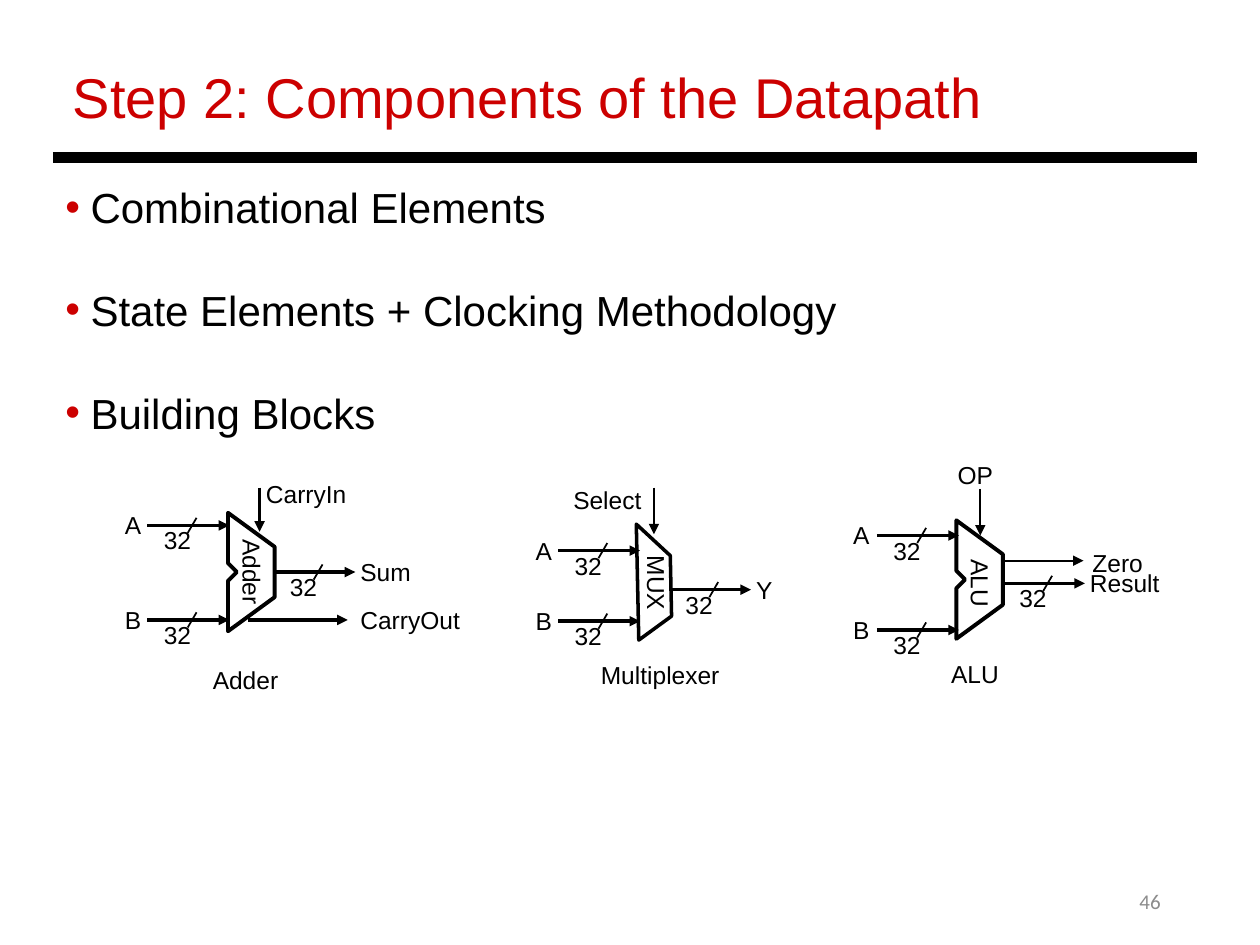
from lxml.etree import SubElement
from pptx import Presentation
from pptx.dml.color import RGBColor
from pptx.enum.shapes import MSO_CONNECTOR
from pptx.enum.text import MSO_ANCHOR, PP_ALIGN
from pptx.oxml.ns import qn
from pptx.util import Inches, Pt

COLORS = {"title": "CC0000", "ink": "000000", "number": "8C8C8C"}
TITLE = "Step 2: Components of the Datapath"
TOPICS = ["Combinational Elements", "State Elements + Clocking Methodology",
          "Building Blocks"]
PAGE_NUMBER = "46"

# Outlines are relative to the block's top-left corner.
NOTCHED = [(0, 0), (0, 0.4), (0.07, 0.47), (0, 0.54), (0, 0.94),
           (0.37, 0.67), (0.37, 0.27)]
TRAPEZOID = [(0, 0), (0.02, 0.92), (0.28, 0.73), (0.27, 0.25)]

# buses: (start x, y); labels: (text, left, top, width)
# arrows: (start x, start y, end x, end y, line width)
BLOCKS = [
    {"outline": NOTCHED, "corner": (1.81, 4.07), "weight": 2.25,
     "name": ("Adder", 1.67, 4.39, 0.67), "caption": ("Adder", 1.59, 5.23, 0.72),
     "buses": [(1.17, 4.17), (1.17, 4.92), (2.17, 4.54)],
     "arrows": [(1.97, 4.92, 2.76, 4.92, 2), (2.06, 3.87, 2.06, 4.22, 2)],
     "labels": [("A", 0.92, 4.01, 0.28), ("B", 0.92, 4.76, 0.28),
                ("Sum", 2.79, 4.38, 0.55), ("CarryOut", 2.79, 4.76, 0.94),
                ("CarryIn", 2.04, 3.76, 0.79)]},
    {"outline": TRAPEZOID, "corner": (5.05, 4.16), "weight": 2,
     "name": ("MUX", 4.92, 4.48, 0.59), "caption": ("Multiplexer", 4.67, 5.19, 1.15),
     "buses": [(4.43, 4.37), (4.43, 4.93), (5.31, 4.68)],
     "arrows": [(5.19, 3.87, 5.19, 4.24, 1)],
     "labels": [("A", 4.18, 4.21, 0.28), ("B", 4.18, 4.77, 0.28),
                ("Y", 5.93, 4.52, 0.28), ("Select", 4.48, 3.81, 0.77)]},
    {"outline": NOTCHED, "corner": (7.59, 4.13), "weight": 2.25,
     "name": ("ALU", 7.52, 4.48, 0.53), "caption": ("ALU", 7.45, 5.18, 0.58),
     "buses": [(6.96, 4.25), (6.96, 5.0), (7.96, 4.63)],
     "arrows": [(7.78, 3.88, 7.78, 4.25, 1), (7.96, 4.45, 8.6, 4.45, 1)],
     "labels": [("A", 6.7, 4.09, 0.28), ("B", 6.7, 4.84, 0.28),
                ("Result", 8.58, 4.47, 0.71), ("OP", 7.53, 3.61, 0.5),
                ("Zero", 8.6, 4.31, 0.6)]},
]
BUS_LENGTH = 0.65
BUS_WIDTH = "32"


def color(key):
    return RGBColor.from_string(COLORS[key])


def add_text(slide, lines, left, top, width, height, size, ink="ink",
             font="Arial", wrap=True, inset=(0.1, 0.05)):
    box = slide.shapes.add_textbox(*map(Inches, (left, top, width, height)))
    frame = box.text_frame
    frame.word_wrap = wrap
    frame.margin_left = frame.margin_right = Inches(inset[0])
    frame.margin_top = frame.margin_bottom = Inches(inset[1])
    frame.text = "\n".join(lines)
    for paragraph in frame.paragraphs:
        for run in paragraph.runs:
            run.font.size = Pt(size)
            run.font.name = font
            run.font.color.rgb = color(ink)
    return box


def add_label(slide, text, left, top, width):
    return add_text(slide, [text], left, top, width, 0.31, 14, wrap=False,
                    inset=(0.07, 0.04))


def add_line(slide, x1, y1, x2, y2, weight, arrow=False):
    line = slide.shapes.add_connector(MSO_CONNECTOR.STRAIGHT,
                                      *map(Inches, (x1, y1, x2, y2)))
    line.line.color.rgb = color("ink")
    line.line.width = Pt(weight)
    properties = line._element.spPr
    if arrow:
        SubElement(properties.find(qn("a:ln")), qn("a:tailEnd"), type="triangle")
    SubElement(properties, qn("a:effectLst"))


def add_bus(slide, x, y):
    """Draw an arrow with the slash and number that mark its width in bits."""
    add_line(slide, x, y, x + BUS_LENGTH, y, 2, arrow=True)
    add_line(slide, x + 0.39, y - 0.06, x + 0.32, y + 0.06, 1)
    add_label(slide, BUS_WIDTH, x + 0.06, y - 0.04, 0.37)


def add_outline(slide, points, corner, weight):
    start, *rest = [(Inches(corner[0] + x), Inches(corner[1] + y)) for x, y in points]
    builder = slide.shapes.build_freeform(*start)
    builder.add_line_segments(rest, close=True)
    outline = builder.convert_to_shape()
    outline.shadow.inherit = False
    outline.fill.background()
    outline.line.color.rgb = color("ink")
    outline.line.width = Pt(weight)


def add_block(slide, block):
    for bus in block["buses"]:
        add_bus(slide, *bus)
    for arrow in block["arrows"]:
        add_line(slide, *arrow, arrow=True)
    for label in block["labels"]:
        add_label(slide, *label)
    add_label(slide, *block["name"]).rotation = 90
    add_outline(slide, block["outline"], block["corner"], block["weight"])
    add_text(slide, [block["caption"][0]], *block["caption"][1:], 0.34, 14, wrap=False)


def add_topics(slide):
    topics = add_text(slide, TOPICS, 0.42, 1.39, 9.08, 2.12, 24)
    for paragraph in topics.text_frame.paragraphs:
        paragraph.space_after = Pt(30)
        properties = paragraph._p.get_or_add_pPr()
        properties.set("marL", str(Inches(0.2)))
        properties.set("indent", str(-Inches(0.2)))
        bullet_color = SubElement(properties, qn("a:buClr"))
        SubElement(bullet_color, qn("a:srgbClr"), val=COLORS["title"])
        SubElement(properties, qn("a:buFont"), typeface="Arial")
        SubElement(properties, qn("a:buChar"), char="•")


def main():
    deck = Presentation()
    deck.slide_width, deck.slide_height = Inches(10), Inches(7.5)
    slide = deck.slides.add_slide(deck.slide_layouts[6])

    add_text(slide, [TITLE], 0.48, 0.45, 8.83, 0.64, 32, "title")
    add_line(slide, 0.42, 1.25, 9.5, 1.25, 6)
    add_topics(slide)
    for block in BLOCKS:
        add_block(slide, block)
    number = add_text(slide, [PAGE_NUMBER], 7.06, 6.95, 2.25, 0.4, 12, "number", "Calibri")
    number.text_frame.vertical_anchor = MSO_ANCHOR.MIDDLE
    number.text_frame.paragraphs[0].alignment = PP_ALIGN.RIGHT
    deck.save("out.pptx")


if __name__ == "__main__":
    main()
